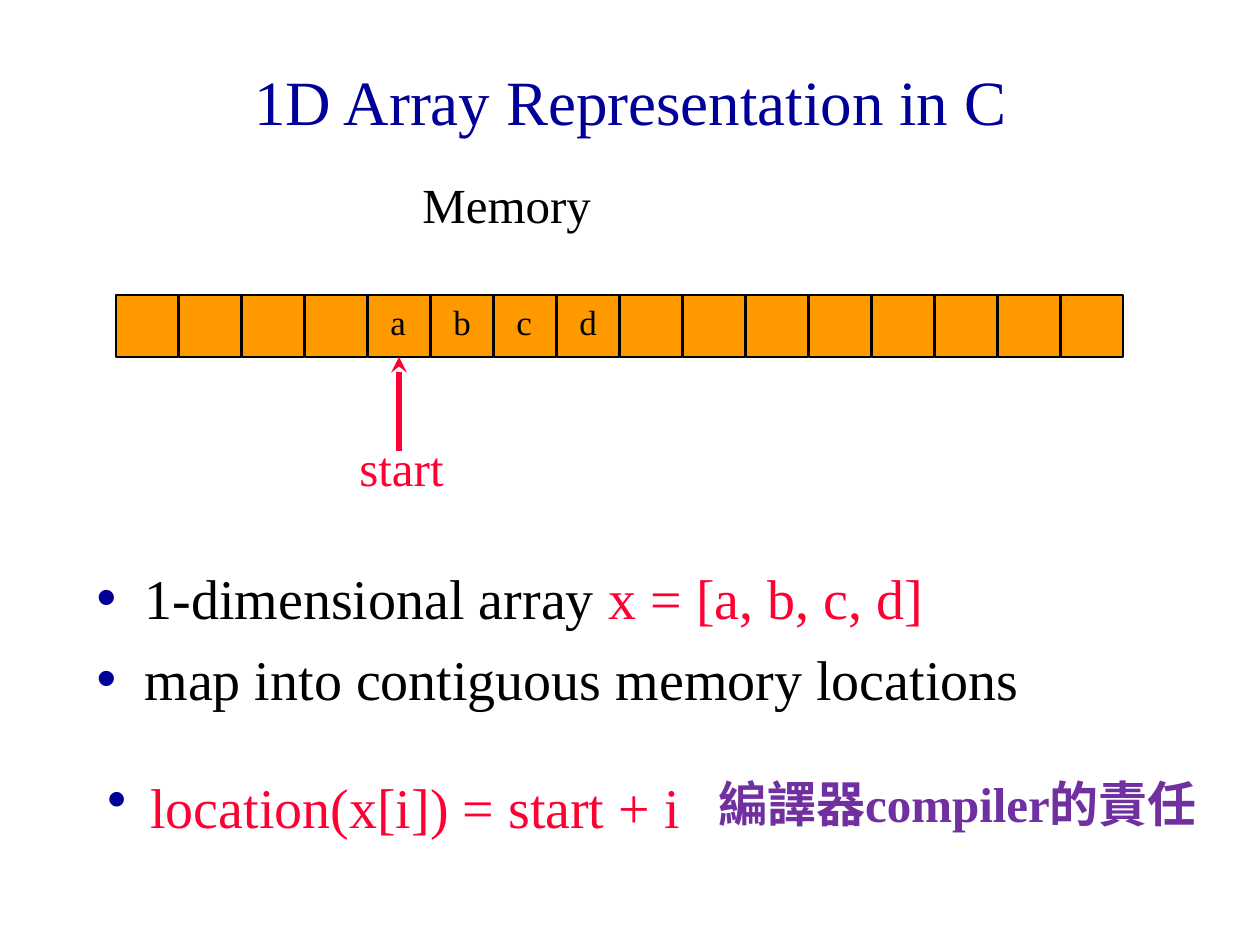
from dataclasses import dataclass
from typing import Any

from lxml import etree
from pptx import Presentation
from pptx import util as u
from pptx.dml.color import RGBColor
from pptx.enum import shapes, text
from pptx.oxml.ns import qn

SCALE = 914400 / 126  # EMU per px


@dataclass(frozen=True)
class Theme:
    face: str = "Times New Roman"
    navy: str = "000099"
    ink: str = "000000"
    red: str = "FF0033"
    cell: str = "FF9900"
    violet: str = "7030A0"
    title: int = 36
    body: int = 32
    label: int = 28
    small: int = 20


@dataclass(frozen=True)
class Box:
    x: int
    y: int
    w: int
    h: int


@dataclass(frozen=True)
class Label:
    words: str
    box: Box
    size: int
    color: str
    wrap: bool = True
    bold: bool = False
    indent: int = 0


T = Theme()


def emu(px: float) -> u.Emu:
    return u.Emu(round(px * SCALE))


def rgb(code: str) -> RGBColor:
    return RGBColor.from_string(code)


def area(box: Box) -> list[u.Emu]:
    return [emu(v) for v in (box.x, box.y, box.w, box.h)]


def move(shape: Any, box: Box) -> None:
    shape.left, shape.top, shape.width, shape.height = area(box)


def style(para: Any, size: int, color: str, bold: bool = False) -> None:
    font = para.font
    font.name, font.size, font.bold = T.face, u.Pt(size), bold
    font.color.rgb = rgb(color)


def bullet(para: Any, indent: int) -> None:
    """Hang a navy bullet to the left of the text."""
    props = para._p.get_or_add_pPr()
    props.set("marL", str(emu(indent)))
    props.set("indent", str(-emu(indent)))
    tint = etree.SubElement(props, qn("a:buClr"))
    etree.SubElement(tint, qn("a:srgbClr"), val=T.navy)
    etree.SubElement(props, qn("a:buChar"), char="•")


def add_label(parent: Any, label: Label) -> Any:
    frame = parent.add_textbox(*area(label.box)).text_frame
    frame.word_wrap = label.wrap
    para = frame.paragraphs[0]
    para.text = label.words
    if label.indent:
        bullet(para, label.indent)
    style(para, label.size, label.color, label.bold)
    return para


def add_cell(parent: Any, box: Box) -> None:
    cell = parent.add_shape(shapes.MSO_SHAPE.RECTANGLE, *area(box))
    cell.shadow.inherit = False
    cell.fill.solid()
    cell.fill.fore_color.rgb = rgb(T.cell)
    cell.line.color.rgb = rgb(T.ink)
    cell.line.width = u.Pt(1)


def add_arrow(parent: Any, x: int, start: int, end: int) -> None:
    arrow = parent.add_connector(
        shapes.MSO_CONNECTOR.STRAIGHT, emu(x), emu(start), emu(x), emu(end))
    arrow.line.color.rgb = rgb(T.red)
    arrow.line.width = u.Pt(3)
    line = arrow.line._get_or_add_ln()
    etree.SubElement(line, qn("a:tailEnd"), type="stealth")
    etree.SubElement(arrow._element.spPr, qn("a:effectLst"))


def fill_title(holder: Any) -> None:
    move(holder, Box(32, 21, 1197, 158))
    frame = holder.text_frame
    frame.auto_size = text.MSO_AUTO_SIZE.NONE
    frame.vertical_anchor = text.MSO_ANCHOR.MIDDLE
    para = frame.paragraphs[0]
    para.text = "1D Array Representation in C"
    para.alignment = text.PP_ALIGN.CENTER
    style(para, T.title, T.navy)


def fill_body(holder: Any) -> None:
    move(holder, Box(84, 557, 1071, 168))
    frame = holder.text_frame
    frame.auto_size = text.MSO_AUTO_SIZE.NONE
    items = [
        [("1-dimensional array ", T.ink), ("x = [a, b, c, d]", T.red)],
        [("map into contiguous memory locations", T.ink)],
    ]
    for i, parts in enumerate(items):
        para = frame.add_paragraph() if i else frame.paragraphs[0]
        para.space_before = u.Pt(8 if i else 0)
        bullet(para, 48)
        style(para, T.body, T.ink)
        for words, color in parts:
            run = para.add_run()
            run.text = words
            run.font.color.rgb = rgb(color)


def main() -> None:
    deck = Presentation()
    deck.slide_width, deck.slide_height = emu(1260), emu(945)
    slide = deck.slides.add_slide(deck.slide_layouts[1])
    fill_title(slide.shapes.title)
    fill_body(slide.placeholders[1])

    # Memory row
    left, top, pitch, side, first = 116, 295, 63, 62, 4
    memory = slide.shapes.add_group_shape().shapes
    for i in range(16):
        add_cell(memory, Box(left + i * pitch, top, side, side))
    para = add_label(
        memory, Label("Memory", Box(378, 168, 336, 72), T.label, T.ink))
    para._p.get_or_add_pPr().set("marL", str(emu(32)))

    # Array values
    for i, name in enumerate("abcd", first):
        box = Box(left + i * pitch + 10, top - 1, 42, 54)
        add_label(slide.shapes, Label(name, box, T.small, T.ink, wrap=False))

    # Start pointer
    start = slide.shapes.add_group_shape().shapes
    add_arrow(start, left + first * pitch + side // 2, 451, top + side)
    add_label(start, Label("start", Box(347, 431, 147, 72), T.label, T.red))

    # Address rule and remark
    for label in (
        Label("location(x[i]) = start + i", Box(95, 766, 1008, 183),
              T.body, T.red, indent=43),
        Label("編譯器compiler的責任", Box(706, 767, 527, 72),
              T.label, T.violet, wrap=False, bold=True),
    ):
        add_label(slide.shapes, label)

    deck.save("out.pptx")


if __name__ == "__main__":
    main()
